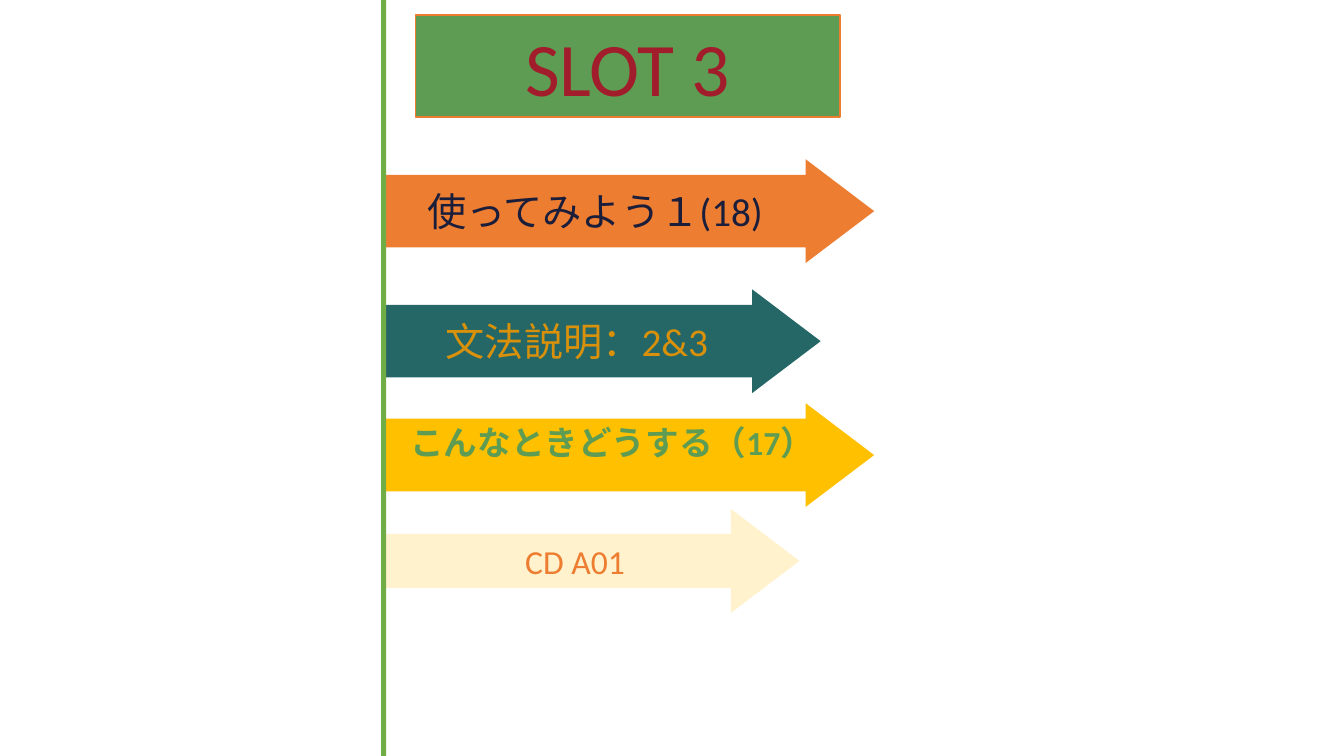
import pptx
import pptx.dml.color
import pptx.enum.shapes
import pptx.enum.text
import pptx.util

Inches = pptx.util.Inches
Pt = pptx.util.Pt
RGBColor = pptx.dml.color.RGBColor
SHAPE = pptx.enum.shapes.MSO_SHAPE
ALIGN = pptx.enum.text.PP_ALIGN
ANCHOR = pptx.enum.text.MSO_ANCHOR

ORANGE = RGBColor(0xED, 0x7D, 0x31)
TEAL = RGBColor(0x25, 0x67, 0x66)
GOLD = RGBColor(0xFF, 0xC0, 0x00)
CREAM = RGBColor(0xFF, 0xF2, 0xCC)
LEAF = RGBColor(0x70, 0xAD, 0x47)
GREEN = RGBColor(0x5E, 0x9C, 0x53)
RED = RGBColor(0xA1, 0x1D, 0x2B)
NAVY = RGBColor(0x1A, 0x1E, 0x3B)
AMBER = RGBColor(0xD9, 0x91, 0x0B)


class LessonSlide:
    """Holds the text style and the current slide."""

    font_name = "Calibri"
    arrow_height = 1.03
    arrow_head = 0.66

    def __init__(self, presentation):
        self.slide = presentation.slides.add_slide(presentation.slide_layouts[5])

    def set_text(self, shape, text, size, color, align=ALIGN.CENTER,
                 anchor=ANCHOR.MIDDLE, bold=False):
        frame = shape.text_frame
        frame_format = {"word_wrap": True, "vertical_anchor": anchor,
                        "auto_size": pptx.enum.text.MSO_AUTO_SIZE.NONE}
        for name, value in frame_format.items():
            setattr(frame, name, value)
        paragraph = frame.paragraphs[0]
        paragraph.alignment = align
        run = paragraph.add_run()
        run.text = text
        font_format = {"name": self.font_name, "size": Pt(size), "bold": bold}
        for name, value in font_format.items():
            setattr(run.font, name, value)
        run.font.color.rgb = color

    def paint(self, shape, fill):
        shape.shadow.inherit = False
        shape.fill.solid()
        shape.fill.fore_color.rgb = fill
        shape.line.fill.background()

    def title(self, text, left, top, width, height):
        shape = self.slide.shapes.title
        place = {"left": left, "top": top, "width": width, "height": height}
        for name, value in place.items():
            setattr(shape, name, Inches(value))
        self.paint(shape, GREEN)
        shape.line.color.rgb = ORANGE
        shape.line.width = Pt(1)
        self.set_text(shape, text, 54, RED)

    def block(self, kind, fill, left, top, width, height):
        shape = self.slide.shapes.add_shape(
            kind, Inches(left), Inches(top), Inches(width), Inches(height))
        self.paint(shape, fill)
        return shape

    def arrow(self, fill, left, top, width, shaft=0.7):
        shape = self.block(SHAPE.RIGHT_ARROW, fill, left, top, width,
                           self.arrow_height)
        shape.adjustments[0] = shaft
        shape.adjustments[1] = self.arrow_head
        return shape

    def label(self, text, size, color, left, top, width, height, bold=False):
        shape = self.slide.shapes.add_textbox(
            Inches(left), Inches(top), Inches(width), Inches(height))
        self.set_text(shape, text, size, color, ALIGN.LEFT, ANCHOR.TOP, bold)


def main():
    presentation = pptx.Presentation()
    presentation.slide_width = Inches(13.33)
    presentation.slide_height = Inches(7.5)
    lesson = LessonSlide(presentation)

    # Heading
    lesson.title("SLOT 3", 4.12, 0.15, 4.21, 1.01)

    # Activity arrows
    lesson.arrow(ORANGE, 3.78, 1.58, 4.89)
    grammar = lesson.arrow(TEAL, 3.78, 2.87, 4.36)
    lesson.set_text(grammar, "文法説明：2&3", 28, AMBER)
    lesson.arrow(GOLD, 3.83, 4, 4.84)
    listening = lesson.arrow(CREAM, 3.83, 5.05, 4.1, shaft=0.52)
    lesson.set_text(listening, "CD A01", 24, ORANGE)

    # Vertical bar over the arrow ends
    lesson.block(SHAPE.RECTANGLE, LEAF, 3.78, 0, 0.05, 7.5)

    # Labels lying on the first and third arrows
    lesson.label("使ってみよう１(18)", 28, NAVY, 4.14, 1.81, 5.57, 0.57)
    lesson.label("こんなときどうする（17）", 24, GREEN, 3.97, 4.14, 4.49, 0.5,
                 bold=True)

    presentation.save("out.pptx")


if __name__ == "__main__":
    main()
